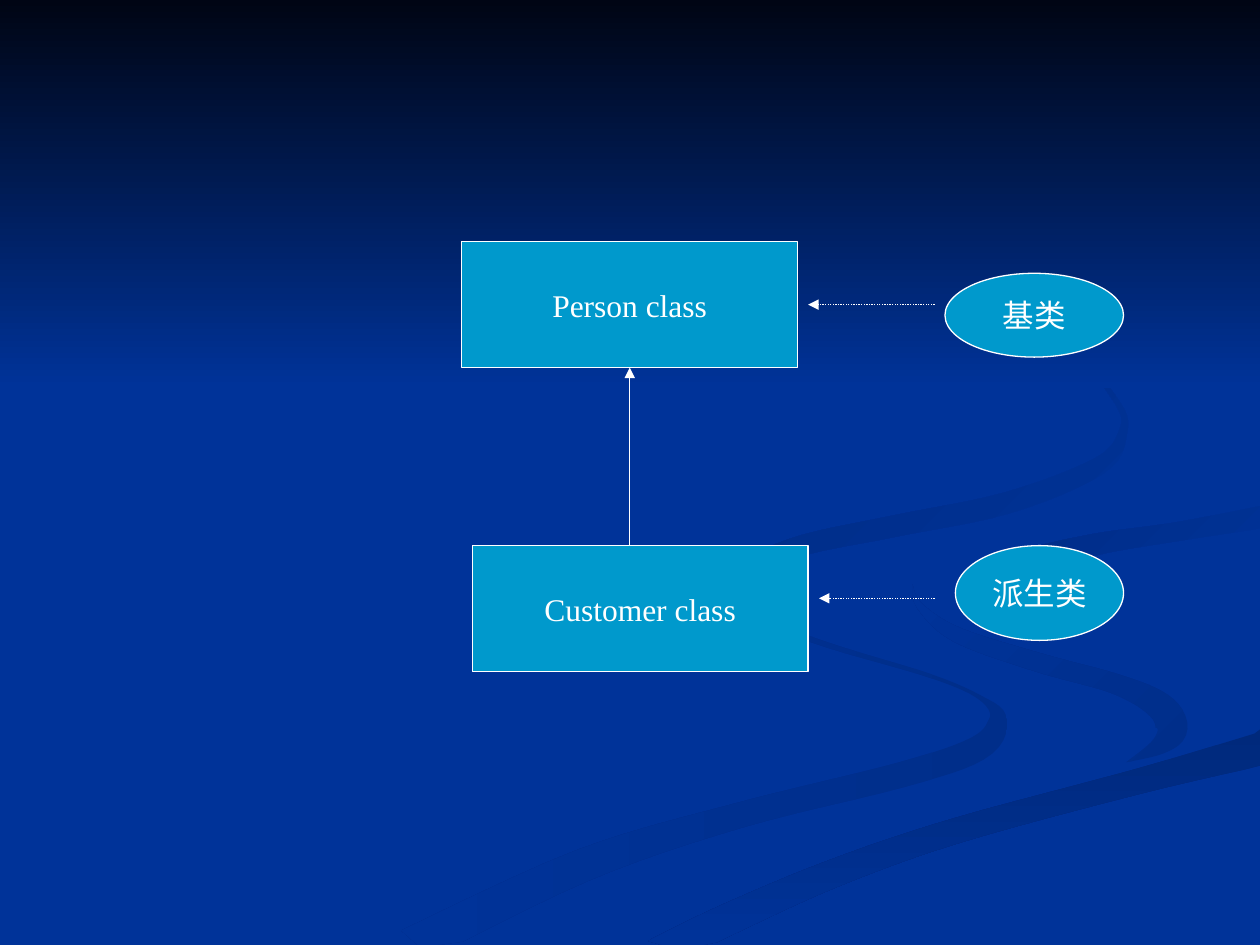
from math import hypot
from typing import NamedTuple

from lxml import etree
from pptx import Presentation
from pptx.dml.color import RGBColor
from pptx.enum.dml import MSO_LINE
from pptx.enum.shapes import MSO_CONNECTOR, MSO_SHAPE
from pptx.enum.text import MSO_ANCHOR, PP_ALIGN
from pptx.oxml.ns import qn
from pptx.util import Cm, Pt

RECTANGLE, ELLIPSE = MSO_SHAPE.RECTANGLE, MSO_SHAPE.OVAL
STRAIGHT = MSO_CONNECTOR.STRAIGHT
DOTTED = MSO_LINE.ROUND_DOT
CENTER, MIDDLE = PP_ALIGN.CENTER, MSO_ANCHOR.MIDDLE
BOTTOM_SIDE = 2
SLIDE_WIDTH, SLIDE_HEIGHT = Cm(25.4), Cm(19.05)
FONT = "Times New Roman"
TEXT_SIZE, LINE_WIDTH = Pt(18), Pt(0.75)
COLORS = {
    "background": "003399", "night": "000514", "node": "0099CC", "white": "FFFFFF",
    "wave": "002E8A", "deep wave": "00297C", "right wave": "002C85", "top wave": "002B81",
}
# Gradient directions, counter-clockwise in degrees
LEFTWARD, DOWNWARD, DOWN_LEFT = 180, 270, 135
STEPS_PER_BEND = 6


class Wave(NamedTuple):
    """A ribbon through bends (x, y, thickness), in percent of the slide width."""
    start_color: str
    end_color: str
    direction: int
    bends: list


WAVES = [
    # plain wave, which parts the others
    Wave("background", "background", LEFTWARD,
         [(101, 39, 2), (86, 42, 1), (76, 45, 5), (82, 50, 3), (89, 53, 3), (96, 56, 4),
          (91, 60, 2), (79, 64, 1), (63, 69, 2), (49, 75, 2)]),
    # left wave
    Wave("wave", "background", LEFTWARD,
         [(57.5, 45.9, 0), (57.3, 46.9, 0.4), (59, 48.7, 0.5), (65.7, 51.2, 0.4),
          (74, 53.7, 0.3), (78, 55.5, 0.4), (79.2, 57.2, 1.5), (77.6, 59.4, 2),
          (71.5, 61.5, 2), (58.7, 64.7, 2), (46.2, 68.7, 2.6), (32.5, 75.2, 3)]),
    # middle wave
    Wave("wave", "background", DOWN_LEFT,
         [(72.4, 46.4, 0), (73, 48.1, 0.5), (76, 50.4, 1.2), (82.5, 52.6, 1.5),
          (88.6, 54.3, 1.6), (92, 56, 2.2), (93, 57.8, 2.5), (92, 59.2, 1.4),
          (89.4, 60.5, 0)]),
    # lower wave
    Wave("deep wave", "background", DOWNWARD,
         [(101, 59.2, 2.7), (90.4, 62, 2), (76, 65.9, 2), (66.2, 69.3, 2.2),
          (57.5, 73.1, 2.5), (52, 75.8, 2.5)]),
    # right wave
    Wave("background", "right wave", DOWN_LEFT,
         [(82.6, 49.6, 0), (79.8, 47.9, 1.2), (79.4, 46.4, 2.2), (81.8, 44.6, 2),
          (87, 43.2, 1.7), (93.4, 42.2, 1.5), (101, 40.9, 1.8)]),
    # top wave
    Wave("background", "top wave", DOWN_LEFT,
         [(76.2, 23.3, 0), (84.8, 27.8, 0.3), (88.7, 32, 0.4), (89.1, 34.4, 0.7),
          (87.2, 37, 1.4), (80, 39.9, 1.7), (70.8, 41.8, 1.7), (63, 43.5, 1.6),
          (58.6, 46, 1.6), (59.7, 48.4, 1), (62.2, 50, 0)]),
]


def rgb(name):
    return RGBColor.from_string(COLORS[name])


def smooth(bends):
    """Return points on the Catmull-Rom curve through the bends."""
    padded = [bends[0], *bends, bends[-1]]
    points = []
    for before, start, end, after in zip(padded, padded[1:], padded[2:], padded[3:]):
        for step in range(STEPS_PER_BEND):
            t = step / STEPS_PER_BEND
            points.append(tuple(
                b + ((c - a) * t + (2 * a - 5 * b + 4 * c - d) * t ** 2
                     + (3 * b - a - 3 * c + d) * t ** 3) / 2
                for a, b, c, d in zip(before, start, end, after)))
    return points + [bends[-1]]


def ribbon_outline(bends, width, height):
    """Go out along one edge of the ribbon and back along the other, inside the slide."""
    unit = width / 100
    centers = smooth(bends)
    edges = [], []
    for (x, y, thickness), previous, following in zip(
            centers, centers[:1] + centers, centers[1:] + centers[-1:]):
        dx, dy = following[0] - previous[0], following[1] - previous[1]
        reach = max(thickness, 0) / 2 / hypot(dx, dy)
        for edge, side in zip(edges, (1, -1)):
            edge.append((min((x - side * dy * reach) * unit, width),
                         min((y + side * dx * reach) * unit, height)))
    return edges[0] + edges[1][::-1]


def fill_backdrop_shape(shape, start_color, end_color, direction):
    shape.shadow.inherit = False
    shape.line.fill.background()
    if start_color == end_color:
        shape.fill.solid()
        shape.fill.fore_color.rgb = rgb(start_color)
        return
    shape.fill.gradient()
    shape.fill.gradient_angle = direction
    for stop, name in zip(shape.fill.gradient_stops, (start_color, end_color)):
        stop.color.rgb = rgb(name)


def add_backdrop(slide, width, height):
    """Waves on blue, with a night sky fading down from the top edge."""
    slide.background.fill.solid()
    slide.background.fill.fore_color.rgb = rgb("background")
    for wave in WAVES:
        first, *others = ribbon_outline(wave.bends, width, height)
        builder = slide.shapes.build_freeform(*first)
        builder.add_line_segments(others, close=True)
        fill_backdrop_shape(builder.convert_to_shape(), wave.start_color,
                            wave.end_color, wave.direction)
    sky = slide.shapes.add_shape(RECTANGLE, 0, 0, width, Cm(7.82))
    fill_backdrop_shape(sky, "night", "background", DOWNWARD)


def add_node(slide, kind, text, left, top, width, height):
    shape = slide.shapes.add_shape(kind, left, top, width, height)
    shape.shadow.inherit = False
    shape.fill.solid()
    shape.fill.fore_color.rgb = rgb("node")
    shape.line.color.rgb = rgb("white")
    shape.line.width = LINE_WIDTH
    frame = shape.text_frame
    frame.word_wrap = False
    frame.vertical_anchor = MIDDLE
    paragraph = frame.paragraphs[0]
    paragraph.alignment = CENTER
    run = paragraph.add_run()
    run.text = text
    run.font.name = FONT
    run.font.size = TEXT_SIZE
    run.font.color.rgb = rgb("white")
    return shape


def add_arrow(slide, start, end, dash=None):
    arrow = slide.shapes.add_connector(STRAIGHT, *start, *end)
    arrow.line.color.rgb = rgb("white")
    arrow.line.width = LINE_WIDTH
    if dash:
        arrow.line.dash_style = dash
    line = arrow.line._get_or_add_ln()
    etree.SubElement(line, qn("a:tailEnd"), type="triangle")
    etree.SubElement(arrow._element.spPr, qn("a:effectLst"))
    return arrow


def add_class_diagram(slide, left, top):
    """Base class above derived class, each named by an ellipse on its right."""
    box_width, box_height = Cm(6.77), Cm(2.54)
    derived_top = top + Cm(6.13)
    person = add_node(slide, RECTANGLE, "Person class", left, top, box_width, box_height)
    add_node(slide, RECTANGLE, "Customer class", left + Cm(0.21), derived_top,
             box_width, box_height)

    middle = left + box_width // 2
    inheritance = add_arrow(slide, (middle, derived_top), (middle, top + box_height))
    inheritance.end_connect(person, BOTTOM_SIDE)

    add_node(slide, ELLIPSE, "基类", left + Cm(9.74), top + Cm(0.64), Cm(3.6), Cm(1.69))
    add_node(slide, ELLIPSE, "派生类", left + Cm(9.95), derived_top, Cm(3.39), Cm(1.91))

    arrow_start = left + Cm(9.53)
    for tip, level in ((left + Cm(6.98), top + Cm(1.27)),
                       (left + Cm(7.2), derived_top + Cm(1.06))):
        add_arrow(slide, (arrow_start, level), (tip, level), DOTTED)


def main():
    presentation = Presentation()
    presentation.slide_width, presentation.slide_height = SLIDE_WIDTH, SLIDE_HEIGHT
    slide = presentation.slides.add_slide(presentation.slide_layouts[6])
    add_backdrop(slide, SLIDE_WIDTH, SLIDE_HEIGHT)
    add_class_diagram(slide, Cm(9.31), Cm(4.87))
    presentation.save("out.pptx")


if __name__ == "__main__":
    main()
